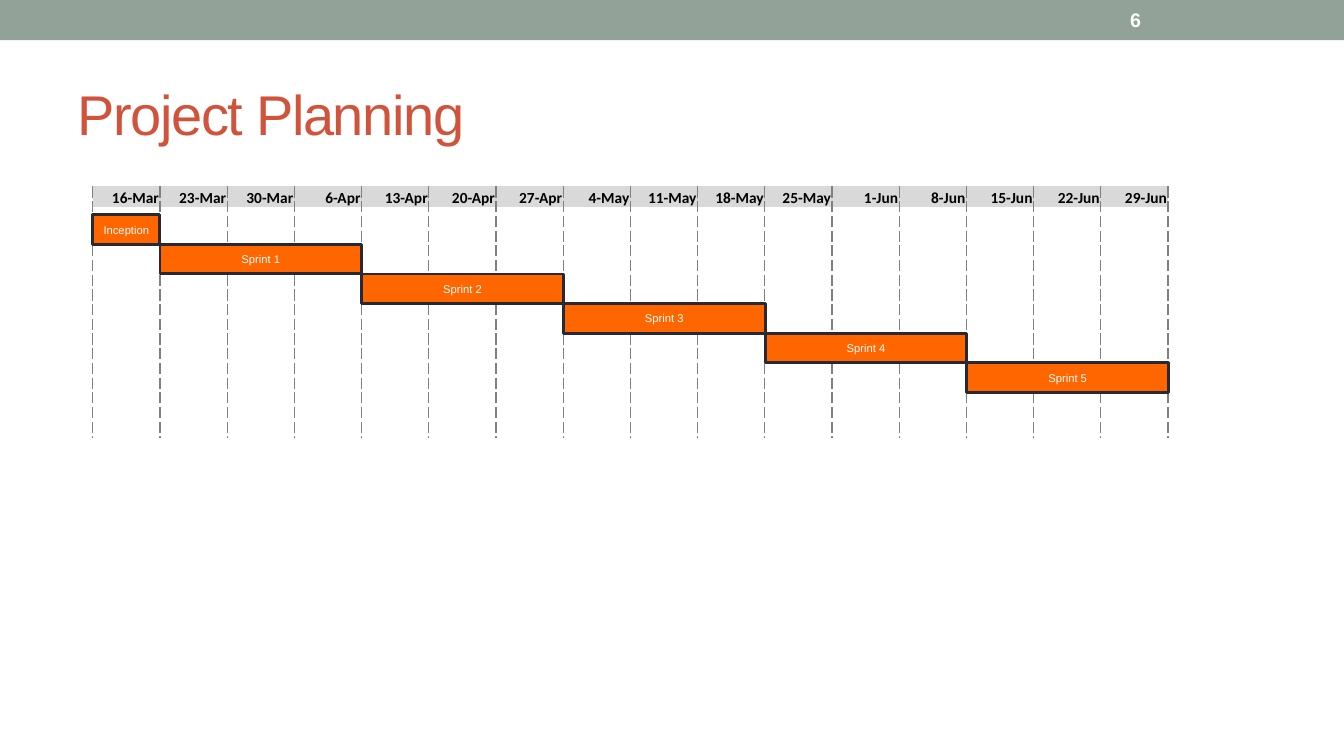
from typing import NamedTuple

from lxml.etree import SubElement
from pptx import Presentation
from pptx.dml.color import RGBColor
from pptx.enum.shapes import MSO_SHAPE as Shape
from pptx.enum.text import MSO_ANCHOR as Anchor, PP_ALIGN as Align
from pptx.oxml import parse_xml
from pptx.oxml.ns import nsdecls, qn
from pptx.util import Inches, Pt

SAGE = RGBColor(0x93, 0xA2, 0x99)
RED = RGBColor(0xD2, 0x53, 0x3C)
ORANGE = RGBColor(0xFF, 0x66, 0x00)
NAVY = RGBColor(0x29, 0x29, 0x34)
SILVER = RGBColor(0xD9, 0xD9, 0xD9)
GRAY = RGBColor(0x80, 0x80, 0x80)
BLACK = RGBColor(0, 0, 0)
WHITE = RGBColor(0xFF, 0xFF, 0xFF)

WIDTH, HEIGHT = Inches(13.33), Inches(7.5)
WEEKS = ("16-Mar 23-Mar 30-Mar 6-Apr 13-Apr 20-Apr 27-Apr 4-May "
         "11-May 18-May 25-May 1-Jun 8-Jun 15-Jun 22-Jun 29-Jun").split()
ROWS = 12
LEFT, TOP = Inches(0.92), Inches(1.85)
WEEK = Inches(10.67) // len(WEEKS)
ROW = Inches(2.5) // ROWS
FIRST = Inches(2.13)
STEP = Inches(0.294)


class Phase(NamedTuple):
    name: str
    start: int
    weeks: int


PHASES = [Phase("Inception", 0, 1)] + [
    Phase(f"Sprint {n}", 3 * n - 2, 3) for n in range(1, 6)]


def write(frame, text: str, size: float, color: RGBColor, align=Align.LEFT,
          bold: bool = False, face: str = "Arial"):
    """Add one run to the first paragraph and return it."""
    para = frame.paragraphs[0]
    para.alignment = align
    run = para.add_run()
    run.text = text
    font = run.font
    font.size, font.name, font.bold = Pt(size), face, bold
    font.color.rgb = color
    return run


def block(slide, left: int, top: int, width: int, height: int, fill: RGBColor):
    """Draw a plain rectangle without line or shadow."""
    box = slide.shapes.add_shape(Shape.RECTANGLE, left, top, width, height)
    box.shadow.inherit = False
    box.fill.solid()
    box.fill.fore_color.rgb = fill
    box.line.fill.background()
    return box


def edge(cell) -> None:
    """Dash the upright borders and clear the level ones."""
    dash = (f'<a:solidFill><a:srgbClr val="{GRAY}"/></a:solidFill>'
            '<a:prstDash val="dash"/>')
    props = cell._tc.get_or_add_tcPr()
    for i, side in enumerate("LRTB"):
        body = dash if side in "LR" else "<a:noFill/>"
        props.insert(i, parse_xml(
            f'<a:ln{side} {nsdecls("a")} w="{Pt(1)}">{body}</a:ln{side}>'))


def draw_weeks(slide) -> None:
    """Draw the calendar grid with its dates."""
    table = slide.shapes.add_table(ROWS, len(WEEKS), LEFT, TOP,
                                   WEEK * len(WEEKS), ROW * ROWS).table
    table.first_row = table.horz_banding = False
    for col in table.columns:
        col.width = WEEK
    for r, row in enumerate(table.rows):
        row.height = ROW
        for week, cell in zip(WEEKS, row.cells):
            cell.margin_left = cell.margin_right = cell.margin_top = Inches(0.01)
            cell.margin_bottom = 0
            cell.vertical_anchor = Anchor.BOTTOM
            if r == 0:
                cell.fill.solid()
                cell.fill.fore_color.rgb = SILVER
                write(cell.text_frame, week, 11, BLACK, Align.RIGHT, True, "Calibri")
            else:
                cell.fill.background()
                # Small end mark keeps the empty row low
                SubElement(cell.text_frame.paragraphs[0]._p,
                           qn("a:endParaRPr"), sz="800")
            edge(cell)


def draw_phase(slide, phase: Phase, rank: int) -> None:
    """Draw one bar of the plan."""
    bar = block(slide, LEFT + phase.start * WEEK, FIRST + rank * STEP,
                phase.weeks * WEEK, STEP, ORANGE)
    bar.line.color.rgb = NAVY
    bar.line.width = Pt(2.08)
    frame = bar.text_frame
    frame.margin_left = frame.margin_right = 0
    frame.vertical_anchor = Anchor.MIDDLE
    write(frame, phase.name, 8, WHITE, Align.CENTER)


deck = Presentation()
deck.slide_width, deck.slide_height = WIDTH, HEIGHT
slide = deck.slides.add_slide(deck.slide_layouts[5])

# Top band
block(slide, 0, 0, WIDTH, Inches(0.4), SAGE)

# Title
title = slide.shapes.title
title.left, title.top = Inches(0.67), Inches(0.58)
title.width, title.height = Inches(12), Inches(1.08)
title.text_frame.vertical_anchor = Anchor.MIDDLE
head = write(title.text_frame, "Project Planning", 40, RED)
head.font._element.set("spc", "-100")

# Plan
draw_weeks(slide)
for rank, phase in enumerate(PHASES):
    draw_phase(slide, phase, rank)

# Page number
page = slide.shapes.add_textbox(Inches(11.11), Inches(0.02),
                                Inches(1.56), Inches(0.36)).text_frame
page.word_wrap = True
page.vertical_anchor = Anchor.MIDDLE
write(page, "6", 14, WHITE, bold=True)

deck.save("out.pptx")
